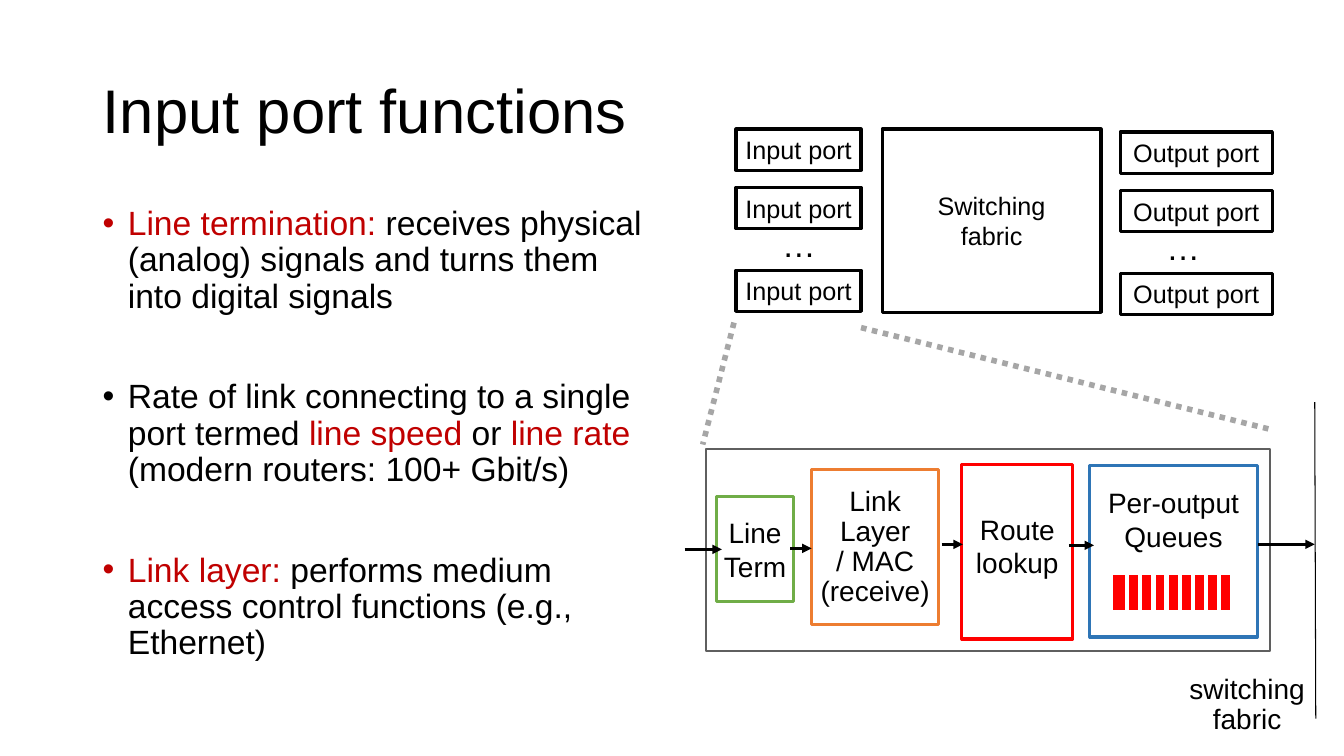
from pptx import Presentation
from pptx.dml.color import RGBColor
from pptx.enum.dml import MSO_LINE
from pptx.enum.shapes import MSO_CONNECTOR, MSO_SHAPE
from pptx.enum.text import MSO_ANCHOR, PP_ALIGN
from pptx.oxml.ns import qn
from pptx.util import Inches, Pt
from lxml import etree

BLACK = RGBColor(0x00, 0x00, 0x00)
WHITE = RGBColor(0xFF, 0xFF, 0xFF)
DARK_RED = RGBColor(0xC0, 0x00, 0x00)
RED = RGBColor(0xFF, 0x00, 0x00)
GREEN = RGBColor(0x70, 0xAD, 0x47)
ORANGE = RGBColor(0xED, 0x7D, 0x31)
BLUE = RGBColor(0x2E, 0x75, 0xB6)
FRAME_GRAY = RGBColor(0x5F, 0x5F, 0x5F)
DOT_GRAY = RGBColor(0xA6, 0xA6, 0xA6)

deck = Presentation()
deck.slide_width, deck.slide_height = Inches(13.33), Inches(7.5)
page = deck.slides.add_slide(deck.slide_layouts[6])


def add_box(place, label="", size=18, outline=None, width=2.25, fill=None,
            spacing=1.0, top_margin=None):
    """Outlined box, or plain text box when there is no outline."""
    lengths = [Inches(value) for value in place]
    if outline is None:
        box = page.shapes.add_textbox(*lengths)
    else:
        box = page.shapes.add_shape(MSO_SHAPE.RECTANGLE, *lengths)
        box.shadow.inherit = False
        box.line.color.rgb = outline
        box.line.width = Pt(width)
        if fill is None:
            box.fill.background()
        else:
            box.fill.solid()
            box.fill.fore_color.rgb = fill
    frame = box.text_frame
    frame.word_wrap = False
    frame.margin_left = frame.margin_right = 0
    frame.vertical_anchor = MSO_ANCHOR.MIDDLE
    if top_margin is not None:
        frame.vertical_anchor = MSO_ANCHOR.TOP
        frame.margin_top = Inches(top_margin)
    frame.text = label
    for para in frame.paragraphs:
        para.alignment = PP_ALIGN.CENTER
        para.line_spacing = spacing
        para.font.name = "Arial"
        para.font.size = Pt(size)
        para.font.color.rgb = BLACK
    return box


def add_line(start, end, color=BLACK, width=2.25, arrow=False):
    line = page.shapes.add_connector(
        MSO_CONNECTOR.STRAIGHT, *[Inches(value) for value in start + end])
    line.line.color.rgb = color
    line.line.width = Pt(width)
    etree.SubElement(line._element.spPr, qn("a:effectLst"))
    if arrow:
        etree.SubElement(line.line._get_or_add_ln(), qn("a:tailEnd"), type="triangle")
    return line


# Title
title = add_box((1.02, 0.4, 11.4, 1.45), "Input port functions", 44, spacing=0.9)
title.text_frame.word_wrap = True
title.text_frame.paragraphs[0].alignment = PP_ALIGN.LEFT

# Bullets
bullets = [
    [("Line termination:", DARK_RED),
     (" receives physical (analog) signals and turns them into digital signals", BLACK)],
    [("Rate of link connecting to a single port termed ", BLACK),
     ("line speed", DARK_RED), (" or ", BLACK), ("line rate ", DARK_RED),
     ("(modern routers: 100+ Gbit/s)", BLACK)],
    [("Link layer:", DARK_RED),
     (" performs medium access control functions (e.g., Ethernet)", BLACK)],
]
body = page.shapes.add_textbox(Inches(0.92), Inches(2), Inches(5.67), Inches(5.2))
body.text_frame.word_wrap = True
for index, spans in enumerate(bullets):
    para = body.text_frame.paragraphs[0] if index == 0 else body.text_frame.add_paragraph()
    properties = para._p.get_or_add_pPr()
    properties.set("marL", str(Inches(0.25)))
    properties.set("indent", str(-Inches(0.25)))
    etree.SubElement(properties, qn("a:buFont"), typeface="Arial")
    etree.SubElement(properties, qn("a:buChar"), char="•")
    para.line_spacing = 0.9
    para.space_before = Pt(46 if index else 0)
    for words, color in spans:
        span = para.add_run()
        span.text = words
        span.font.name = "Arial"
        span.font.size = Pt(24)
        span.font.color.rgb = color

# Router overview: ports on both sides of the switching fabric
add_box((8.75, 1.28, 2.17, 1.82), "Switching\nfabric", outline=BLACK)
for left, top, width, side in [(7.3, 1.28, 1.24, "Input"), (11.11, 1.31, 1.51, "Output")]:
    for offset in (0, 0.58, 1.4):
        add_box((left, top + offset, width, 0.41), f"{side} port", outline=BLACK)
    add_box((left + 0.34, top + 0.89, 0.57, 0.5), "…", 24)

# Dotted zoom lines from one port to its detail
for start, end in [((7.28, 3.2), (6.97, 4.41)), ((8.54, 3.25), (12.6, 4.26))]:
    zoom = add_line(start, end, DOT_GRAY, 4)
    zoom.line.dash_style = MSO_LINE.ROUND_DOT

# Input port detail: frame and stages
add_box((7, 4.45, 5.6, 2.01), outline=FRAME_GRAY, width=1.5, fill=WHITE)
add_box((7.11, 4.93, 0.76, 1.04), "Line\nTerm", 20, GREEN)
add_box((8.05, 4.66, 1.26, 1.54), "Link\nLayer\n/ MAC\n(receive)", 20, ORANGE, spacing=0.9)
add_box((9.54, 4.61, 1.1, 1.73), "Route\nlookup", 20, RED, top_margin=0.47)
add_box((10.81, 4.62, 1.66, 1.7), "Per-output\nQueues", 20, BLUE, top_margin=0.2)

# Queue slots
add_box((11.02, 5.68, 1.2, 0.39), outline=WHITE, width=3, fill=RED)
for slot in range(8):
    x = 11.18 + 0.13 * slot
    add_line((x, 5.68), (x, 6.06), WHITE, 3)

# Flow arrows
for start, end, y in [(6.79, 7.16, 5.45), (7.84, 8.05, 5.44), (9.34, 9.55, 5.4),
                      (10.6, 10.85, 5.41), (12.48, 13.04, 5.4)]:
    add_line((start, y), (end, y), arrow=True)

# Edge of the switching fabric
add_line((13.04, 3.99), (13.05, 7.13), width=0.75)
add_box((11.72, 6.54, 1.3, 0.91), "switching\nfabric", 20, spacing=0.9)

deck.save("out.pptx")
